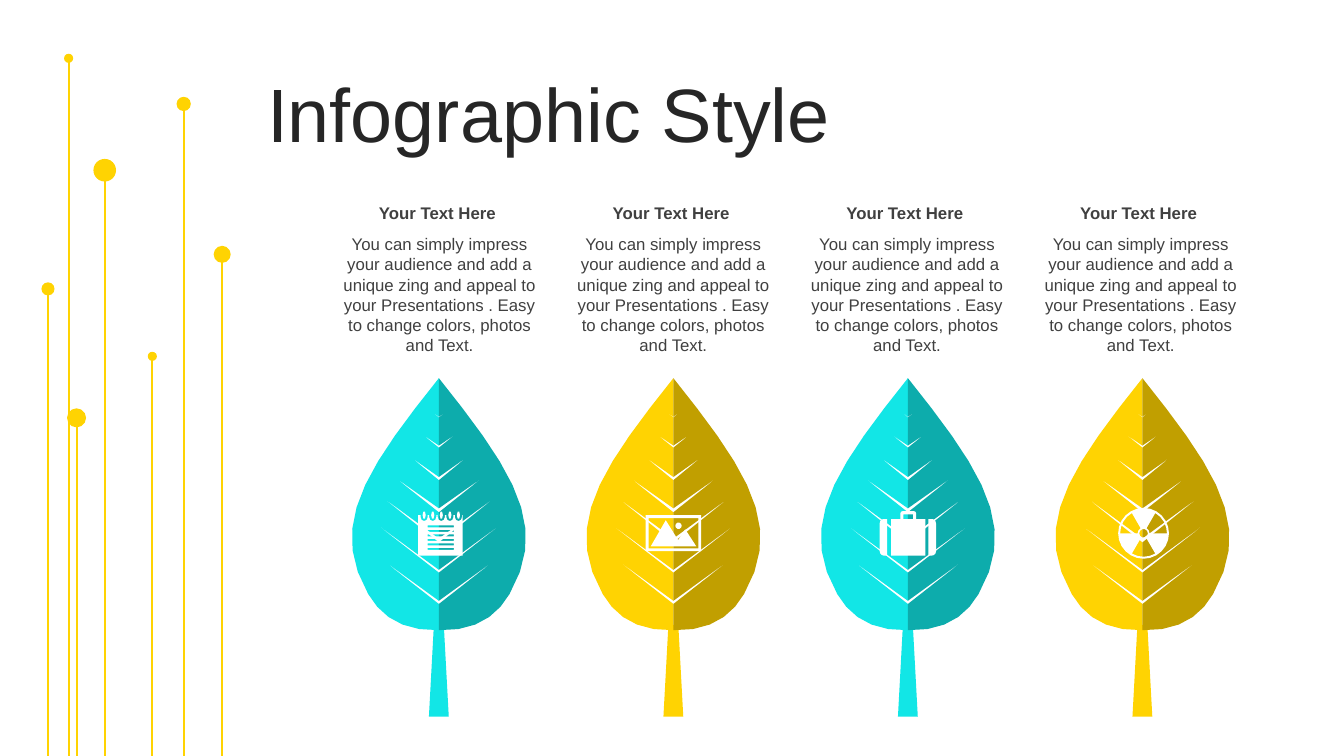
"""Build a slide with four leaf columns, each with a heading, a text and an icon."""
from math import cos, radians, sin

from lxml import etree
from pptx import Presentation
from pptx.dml.color import RGBColor
from pptx.enum.shapes import MSO_CONNECTOR, MSO_SHAPE
from pptx.enum.text import MSO_ANCHOR, MSO_AUTO_SIZE, PP_ALIGN
from pptx.oxml.ns import qn
from pptx.util import Cm, Pt

STRAIGHT = MSO_CONNECTOR.STRAIGHT
OVAL, TRAPEZOID = MSO_SHAPE.OVAL, MSO_SHAPE.TRAPEZOID
MIDDLE, CENTER, LEFT = MSO_ANCHOR.MIDDLE, PP_ALIGN.CENTER, PP_ALIGN.LEFT
FIT_SHAPE, NO_FIT = MSO_AUTO_SIZE.SHAPE_TO_FIT_TEXT, MSO_AUTO_SIZE.NONE

FONT = "Arial"
WIDTH, HEIGHT = 33.87, 19.05
YELLOW, DARK_YELLOW = "FFD302", "C19F00"
CYAN, DARK_CYAN = "12E6E6", "0DACAC"
WHITE, TITLE_COLOR, TEXT_COLOR = "FFFFFF", "262626", "404040"

TITLE = "Infographic Style"
HEADING = "Your Text Here"
BODY = ("You can simply impress your audience and add a unique zing and appeal to "
        "your Presentations . Easy to change colors, photos and Text.")

# x, centre y and diameter of each dot on a stalk
STALKS = [
    (1.73, 1.47, 0.23), (4.63, 2.62, 0.36), (2.64, 4.29, 0.57), (5.6, 6.41, 0.43),
    (1.21, 7.28, 0.33), (3.84, 8.98, 0.23), (1.93, 10.53, 0.48),
]
# upper notch y, tip x, tip y, lower notch y
VEINS = [
    (0.97, 0.25, 0.79, 0.99), (1.7, 0.44, 1.4, 1.75), (2.49, 0.72, 1.98, 2.57),
    (3.28, 1.12, 2.49, 3.38), (4.04, 1.46, 2.97, 4.14), (4.83, 1.73, 3.56, 4.9),
    (5.61, 1.46, 4.55, 5.69),
]
LEAF_BASE = [(0, 6.35), (0.89, 6.38), (1.45, 6.02), (1.78, 5.44)]
LEAF_SIDE = [(1.78, 5.44), (2.77, 3.73), (1.91, 2.39), (0, 0)]
LEAF_TOP, LEAF_X, LEAF_STEP = 9.53, 11.06, 5.91
TEXT_X, TEXT_STEP = 8.31, 5.89


def color(hex_string):
    return RGBColor.from_string(hex_string)


def bezier(points, steps):
    curve = []
    for step in range(steps + 1):
        t = step / steps
        weights = ((1 - t) ** 3, 3 * t * (1 - t) ** 2, 3 * t * t * (1 - t), t ** 3)
        curve.append(tuple(sum(w * p[axis] for w, p in zip(weights, points)) for axis in (0, 1)))
    return curve


def arc(x, y, radius_x, radius_y, start=0, end=360, steps=6):
    angles = [radians(start + (end - start) * step / steps) for step in range(steps + 1)]
    return [(x + radius_x * cos(angle), y + radius_y * sin(angle)) for angle in angles]


def box(left, top, right, bottom):
    return [(left, top), (right, top), (right, bottom), (left, bottom)]


def mirror(contour):
    return [(-x, y) for x, y in contour]


def leaf_half():
    points = [(0, 0)]
    for upper, tip_x, tip_y, lower in VEINS:
        points += [(0, upper), (tip_x, tip_y), (0, lower)]
    points += bezier(LEAF_BASE, 5) + bezier(LEAF_SIDE, 9)[1:-1]
    return [(x, y + LEAF_TOP) for x, y in points]


def notepad():
    rings = [-0.37 + 0.216 * index for index in range(5)]
    page = [(-0.52, 12.98)]
    for x in rings:
        page += [(x - 0.09, 12.98), *arc(x, 13.03, 0.09, 0.1, 180, 0, 4), (x + 0.09, 12.98)]
    page += [(0.6, 12.98), (0.6, 14), (-0.52, 14)]
    tops = [13.24 + 0.113 * index for index in range(6)]
    return ([page] + [arc(x, 12.98, 0.04, 0.1) for x in rings]
            + [box(-0.28, top, 0.38, top + 0.05) for top in tops])


def landscape():
    peaks = [(-0.19, 13.11), (0.12, 13.61), (0.3, 13.34), (0.58, 13.77), (-0.57, 13.77)]
    return [box(-0.7, 12.98, 0.7, 13.89), box(-0.62, 13.06, 0.63, 13.82),
            arc(0.13, 13.25, 0.08, 0.08, steps=10), peaks]


def suitcase():
    panel = [(0.52, 13.08), *arc(0.61, 13.19, 0.1, 0.11, -90, 0, 3),
             *arc(0.61, 13.89, 0.1, 0.11, 0, 90, 3), (0.52, 14)]
    body = [(-0.19, 13.08), *arc(-0.13, 12.94, 0.06, 0.06, 180, 270, 2),
            *arc(0.15, 12.94, 0.06, 0.06, -90, 0, 2), (0.21, 13.08), (0.44, 13.08),
            (0.44, 14), (-0.42, 14), (-0.42, 13.08)]
    return [panel, mirror(panel), body, box(-0.11, 12.96, 0.13, 13.08)]


def radiation():
    x, y = 0.03, 13.44
    sectors = [arc(x, y, 0.59, 0.59, start, start + 60, 4)
               + arc(x, y, 0.15, 0.15, start + 60, start, 2)
               for start in (60, 180, 300)]
    return [arc(x, y, 0.64, 0.64, steps=24), arc(x, y, 0.11, 0.11, steps=10)] + sectors


def paint(shape, fill):
    shape.shadow.inherit = False
    shape.fill.solid()
    shape.fill.fore_color.rgb = color(fill)
    shape.line.fill.background()


def add_preset(slide, kind, left, top, width, height, fill):
    paint(slide.shapes.add_shape(kind, Cm(left), Cm(top), Cm(width), Cm(height)), fill)


def add_outline(slide, contours, center_x, fill):
    placed = [[(Cm(center_x + x), Cm(y)) for x, y in contour] for contour in contours]
    builder = slide.shapes.build_freeform(*placed[0][0])
    builder.add_line_segments(placed[0][1:], close=True)
    for contour in placed[1:]:
        builder.move_to(*contour[0])
        builder.add_line_segments(contour[1:], close=True)
    paint(builder.convert_to_shape(), fill)


def add_text(slide, text, left, top, width, height, size, ink, bold=False,
             align=CENTER, fit=FIT_SHAPE):
    shape = slide.shapes.add_textbox(Cm(left), Cm(top), Cm(width), Cm(height))
    frame = shape.text_frame
    frame.word_wrap = True
    frame.auto_size = fit
    paragraph = frame.paragraphs[0]
    paragraph.alignment = align
    run = paragraph.add_run()
    run.text = text
    run.font.name, run.font.size, run.font.bold = FONT, Pt(size), bold
    run.font.color.rgb = color(ink)
    return frame


def add_stalk(slide, x, y, diameter):
    line = slide.shapes.add_connector(STRAIGHT, Cm(x), Cm(y), Cm(x), Cm(HEIGHT))
    line.line.color.rgb = color(YELLOW)
    line.line.width = Pt(1.5)
    etree.SubElement(line._element.spPr, qn("a:effectLst"))
    add_preset(slide, OVAL, x - diameter / 2, y - diameter / 2, diameter, diameter, YELLOW)


def main():
    presentation = Presentation()
    presentation.slide_width, presentation.slide_height = Cm(WIDTH), Cm(HEIGHT)
    slide = presentation.slides.add_slide(presentation.slide_layouts[6])
    for stalk in STALKS:
        add_stalk(slide, *stalk)

    title = add_text(slide, TITLE, 6.48, 1.78, 26.34, 2.01, 54, TITLE_COLOR,
                     align=LEFT, fit=NO_FIT)
    title.vertical_anchor = MIDDLE
    title.margin_top, title.margin_bottom = Cm(0.36), Cm(0)
    title.paragraphs[0].line_spacing = 0.9

    columns = [(CYAN, DARK_CYAN, notepad()), (YELLOW, DARK_YELLOW, landscape()),
               (CYAN, DARK_CYAN, suitcase()), (YELLOW, DARK_YELLOW, radiation())]
    half = leaf_half()
    for index, (light, dark, icon) in enumerate(columns):
        center = LEAF_X + index * LEAF_STEP
        left = TEXT_X + index * TEXT_STEP
        add_preset(slide, TRAPEZOID, center - 0.25, 15.75, 0.5, 2.31, light)
        add_outline(slide, [mirror(half)], center, light)
        add_outline(slide, [half], center, dark)
        add_text(slide, BODY, left, 5.77, 5.54, 3.33, 12, TEXT_COLOR)
        add_text(slide, HEADING, left - 0.03, 4.98, 5.49, 0.77, 12, TEXT_COLOR, bold=True)
        add_outline(slide, icon, center, WHITE)
    presentation.save("out.pptx")


if __name__ == "__main__":
    main()
